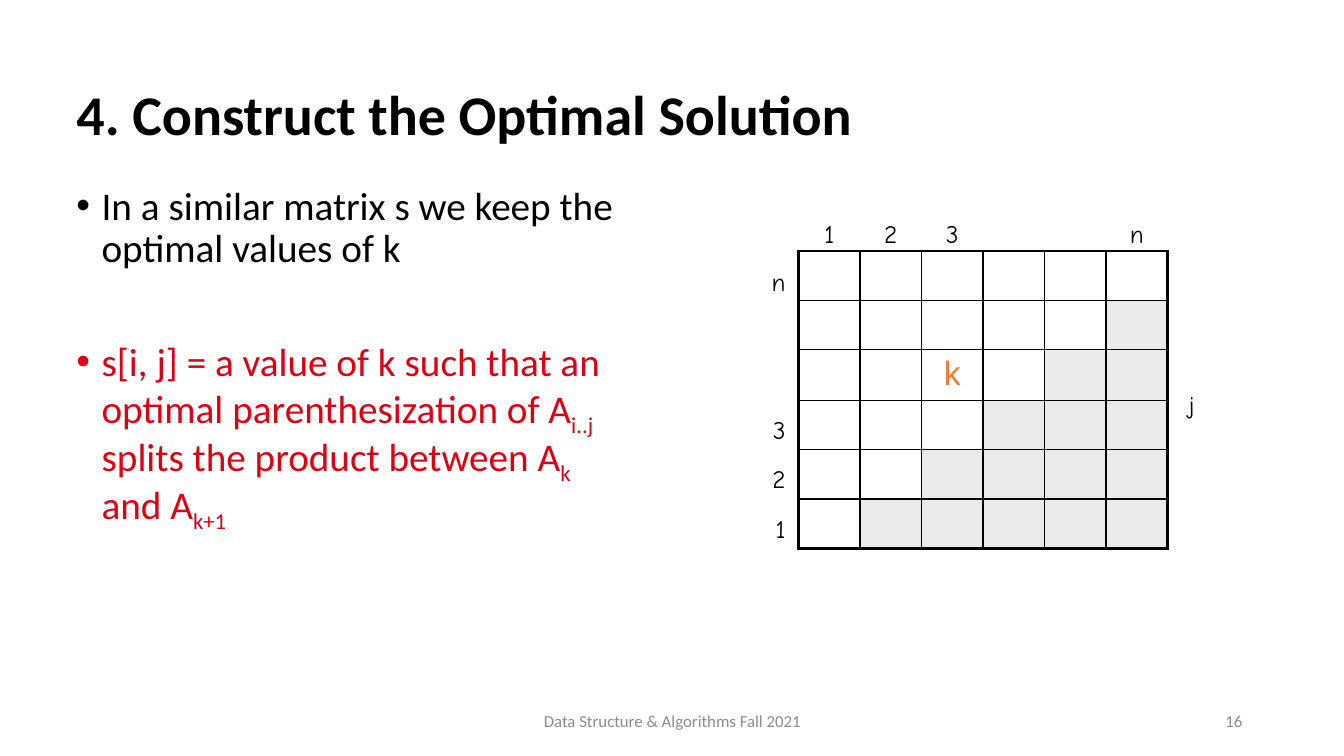
from lxml import etree
from pptx import Presentation
from pptx.dml.color import RGBColor
from pptx.enum.text import MSO_ANCHOR, PP_ALIGN
from pptx.oxml.ns import qn
from pptx.util import Inches, Pt

LEFT, CENTER, RIGHT = PP_ALIGN.LEFT, PP_ALIGN.CENTER, PP_ALIGN.RIGHT
TOP, MIDDLE = MSO_ANCHOR.TOP, MSO_ANCHOR.MIDDLE
BLACK = RGBColor(0x00, 0x00, 0x00)
GRAY = RGBColor(0x8C, 0x8C, 0x8C)
RED = RGBColor(0xDD, 0x01, 0x11)
ORANGE = RGBColor(0xED, 0x7D, 0x31)
SHADE = RGBColor(0xEA, 0xEA, 0xEA)
SIZE = 6
GRID_LEFT, GRID_TOP = 7.92, 2.49
CELL_WIDTH, CELL_HEIGHT = 0.61, 0.49
LABEL_WIDTH, LABEL_HEIGHT = 0.35, 0.4


class SlideBuilder:
    """Holds the slide and its text style, and adds each kind of element."""

    def __init__(self, page):
        self.page = page
        self.body_font = "Calibri"
        self.label_font = "Comic Neue"

    def style(self, para, size, color, name, bold=False):
        font = para.font
        font.size, font.name, font.bold = Pt(size), name, bold
        font.color.rgb = color

    def frame(self, left, top, width, height, anchor=TOP):
        box = self.page.shapes.add_textbox(
            Inches(left), Inches(top), Inches(width), Inches(height))
        box.text_frame.word_wrap = True
        box.text_frame.vertical_anchor = anchor
        return box.text_frame

    def line(self, text, place, size, color, align=LEFT, bold=False):
        para = self.frame(*place, anchor=MIDDLE).paragraphs[0]
        para.text, para.alignment = text, align
        self.style(para, size, color, self.body_font, bold)

    def label(self, text, left, top, align):
        para = self.frame(left, top, LABEL_WIDTH, LABEL_HEIGHT).paragraphs[0]
        para.text, para.alignment = text, align
        self.style(para, 18, BLACK, self.label_font)

    def bullets(self, place, items, gap):
        frame = self.frame(*place)
        for index, (color, spans) in enumerate(items):
            para = frame.add_paragraph() if index else frame.paragraphs[0]
            para.line_spacing = 0.9
            if index:
                para.space_before = Pt(gap)
            properties = para._p.get_or_add_pPr()
            properties.set("marL", str(Inches(0.25)))
            properties.set("indent", str(-Inches(0.25)))
            etree.SubElement(properties, qn("a:buFont"), typeface="Arial")
            etree.SubElement(properties, qn("a:buChar"), char="•")
            self.style(para, 28, color, self.body_font)
            for position, text in enumerate(spans):
                span = para.add_run()
                span.text = text
                if position % 2:
                    span._r.get_or_add_rPr().set("baseline", "-25000")

    def border(self, cell, side, width):
        line = etree.SubElement(
            cell._tc.get_or_add_tcPr(), qn(f"a:ln{side}"), w=str(Pt(width)))
        fill = etree.SubElement(line, qn("a:solidFill"))
        etree.SubElement(fill, qn("a:srgbClr"), val=str(BLACK))

    def matrix(self):
        table = self.page.shapes.add_table(
            SIZE, SIZE, Inches(GRID_LEFT), Inches(GRID_TOP),
            Inches(SIZE * CELL_WIDTH), Inches(SIZE * CELL_HEIGHT)).table
        table.first_row = table.horz_banding = False
        for row in range(SIZE):
            table.rows[row].height = Inches(CELL_HEIGHT)
            table.columns[row].width = Inches(CELL_WIDTH)
            for column in range(SIZE):
                cell = table.cell(row, column)
                edges = {"L": column == 0, "R": column == SIZE - 1,
                         "T": row == 0, "B": row == SIZE - 1}
                for side, outer in edges.items():
                    self.border(cell, side, 2.25 if outer else 1)
                if row + column >= SIZE:
                    cell.fill.solid()
                    cell.fill.fore_color.rgb = SHADE
                else:
                    cell.fill.background()
        para = table.cell(2, 2).text_frame.paragraphs[0]
        para.text, para.alignment = "k", CENTER
        self.style(para, 24, ORANGE, "Arial")


def main():
    deck = Presentation()
    deck.slide_width, deck.slide_height = Inches(13.33), Inches(7.5)
    slide = SlideBuilder(deck.slides.add_slide(deck.slide_layouts[6]))

    slide.line("4. Construct the Optimal Solution", (0.66, 0.4, 12, 1.45),
               40, BLACK, bold=True)
    slide.line("Data Structure & Algorithms Fall 2021", (4.42, 6.95, 4.5, 0.4),
               12, GRAY, CENTER)
    slide.line("16", (9.42, 6.95, 3, 0.4), 12, GRAY, RIGHT)
    slide.bullets((0.66, 1.8, 5.53, 5.55), [
        (BLACK, ["In a similar matrix s we keep the optimal values of k"]),
        (RED, ["s[i, j] = a value of k such that an optimal "
               "parenthesization of A", "i..j",
               " splits the product between A", "k", " and A", "k+1"]),
    ], gap=51)

    slide.matrix()
    for index, text in {0: "1", 1: "2", 2: "3", SIZE - 1: "n"}.items():
        middle = GRID_LEFT + (index + 0.5) * CELL_WIDTH
        slide.label(text, middle - LABEL_WIDTH / 2, 2.12, CENTER)
        row_top = GRID_TOP + (SIZE - 1 - index) * CELL_HEIGHT
        slide.label(text, 7.54, row_top + 0.1, RIGHT)
    slide.label("j", 11.69, 3.81, LEFT)

    deck.save("out.pptx")


if __name__ == "__main__":
    main()
